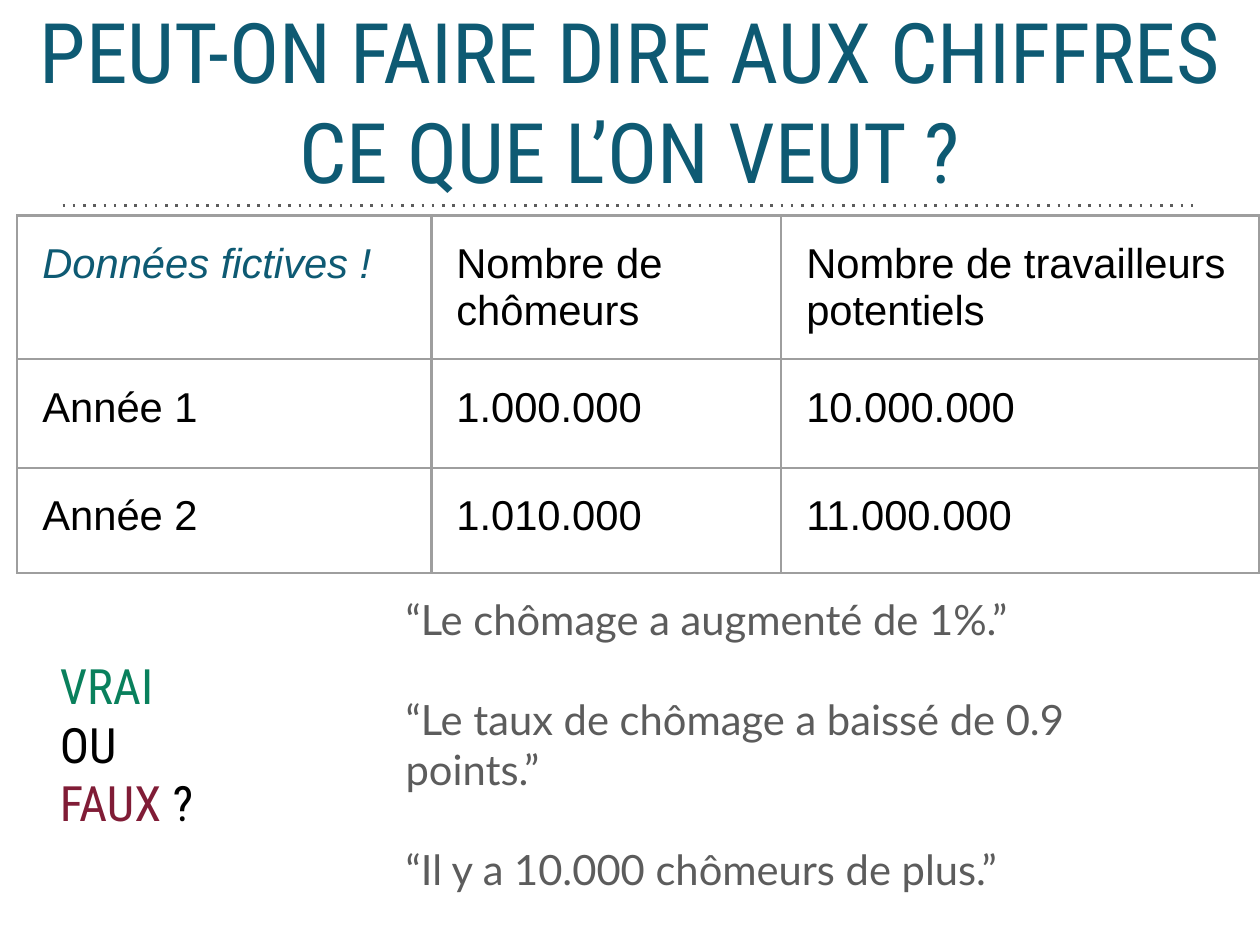
from pptx import Presentation
from pptx import util as u
from pptx.dml import color
from pptx.enum import dml, shapes, text
from pptx.oxml import parse_xml
from pptx.oxml.ns import nsdecls, qn

HUES = {"blue": "0E5A73", "gray": "5C5C5C", "rule": "9E9E9E",
        "black": "000000", "green": "09805C", "red": "801C36"}
HEAD, SANS, BODY = "Roboto Condensed", "Arial", "Lato"


def hue(name):
    return color.RGBColor.from_string(HUES[name])


class Page:
    """One slide and the style of its parts."""

    def __init__(self, deck):
        self.slide = deck.slides.add_slide(deck.slide_layouts[1])

    def font(self, part, face, size, tint):
        part.font.name, part.font.size = face, u.Pt(size)
        part.font.color.rgb = hue(tint)

    def frame(self, shape, box, pad):
        shape.left, shape.top, shape.width, shape.height = map(u.Pt, box)
        frame = shape.text_frame
        frame.word_wrap = True
        frame.auto_size = text.MSO_AUTO_SIZE.NONE
        frame.margin_left = frame.margin_right = u.Pt(pad)
        frame.margin_top = frame.margin_bottom = u.Pt(pad)
        return frame

    def title(self, words, box):
        frame = self.frame(self.slide.shapes.title, box, 7.2)
        frame.vertical_anchor = text.MSO_ANCHOR.MIDDLE
        para = frame.paragraphs[0]
        para.text = words
        para.alignment = text.PP_ALIGN.CENTER
        self.font(para, HEAD, 24, "blue")

    def list(self, items, box, gap):
        frame = self.frame(self.slide.placeholders[1], box, 0)
        frame.vertical_anchor = text.MSO_ANCHOR.TOP
        frame.text = "\n".join(items)
        for i, para in enumerate(frame.paragraphs):
            props = para._p.get_or_add_pPr()
            props.set("marL", "0")
            props.set("indent", "0")
            props.append(parse_xml(f"<a:buNone {nsdecls('a')}/>"))
            para.space_before = u.Pt(gap if i else 0)
            self.font(para, BODY, 12, "gray")

    def label(self, lines, box):
        shape = self.slide.shapes.add_textbox(*map(u.Pt, box))
        frame = self.frame(shape, box, 7.2)
        for i, line in enumerate(lines):
            para = frame.add_paragraph() if i else frame.paragraphs[0]
            for words, tint in line:
                run = para.add_run()
                run.text = words
                self.font(run, HEAD, 14, tint)

    def rule(self, left, right, y):
        line = self.slide.shapes.add_connector(
            shapes.MSO_CONNECTOR.STRAIGHT, *map(u.Pt, (left, y, right, y)))
        line.line.color.rgb = hue("gray")
        line.line.width = u.Pt(0.75)
        line.line.dash_style = dml.MSO_LINE.ROUND_DOT
        props = line._element.spPr
        props.find(".//" + qn("a:prstDash")).set("val", "dot")
        props.append(parse_xml(f"<a:effectLst {nsdecls('a')}/>"))

    def table(self, rows, left, top, wide, high):
        table = self.slide.shapes.add_table(
            len(rows), len(wide), *map(u.Pt, (left, top, sum(wide), sum(high)))).table
        table.first_row = table.horz_banding = False
        for col, size in zip(table.columns, wide):
            col.width = u.Pt(size)
        for row, size, words in zip(table.rows, high, rows):
            row.height = u.Pt(size)
            for cell, word in zip(row.cells, words):
                self.cell(cell, word)
        return table

    def cell(self, cell, words):
        cell.margin_left = cell.margin_right = u.Pt(7.2)
        cell.margin_top = cell.margin_bottom = u.Pt(7.2)
        props = cell._tc.get_or_add_tcPr()
        for side in "LRTB":
            props.append(parse_xml(
                f'<a:ln{side} {nsdecls("a")} w="{u.Pt(0.75)}"><a:solidFill>'
                f'<a:srgbClr val="{HUES["rule"]}"/></a:solidFill></a:ln{side}>'))
        cell.fill.background()
        para = cell.text_frame.paragraphs[0]
        para.text = words
        self.font(para, SANS, 12, "black")


def main():
    deck = Presentation()
    deck.slide_width, deck.slide_height = u.Pt(362.16), u.Pt(272.16)
    page = Page(deck)

    # Heading and dotted rule
    page.rule(18, 344.16, 59)
    page.title("PEUT-ON FAIRE DIRE AUX CHIFFRES CE QUE L’ON VEUT ?",
               (0, 0, 362.16, 57.6))

    # Statements to judge
    page.list(["“Le chômage a augmenté de 1%.”",
               "“Le taux de chômage a baissé de 0.9 points.”",
               "“Il y a 10.000 chômeurs de plus.”"],
              (116.6, 170.6, 230.4, 98.6), 14.4)

    # Made-up figures
    table = page.table(
        [["Données fictives !", "Nombre de chômeurs",
          "Nombre de travailleurs potentiels"],
         ["Année 1", "1.000.000", "10.000.000"],
         ["Année 2", "1.010.000", "11.000.000"]],
        5, 61.9, (119, 100.6, 137.5), (41.2, 31.2, 30.2))
    note = table.cell(0, 0).text_frame.paragraphs[0]
    page.font(note, SANS, 12, "blue")
    note.font.italic = True

    # Question
    page.label([[("VRAI", "green")], [("OU", "black")],
                [("FAUX", "red"), (" ?", "black")]],
               (10.1, 181.4, 97.2, 65.5))

    deck.save("out.pptx")


if __name__ == "__main__":
    main()
